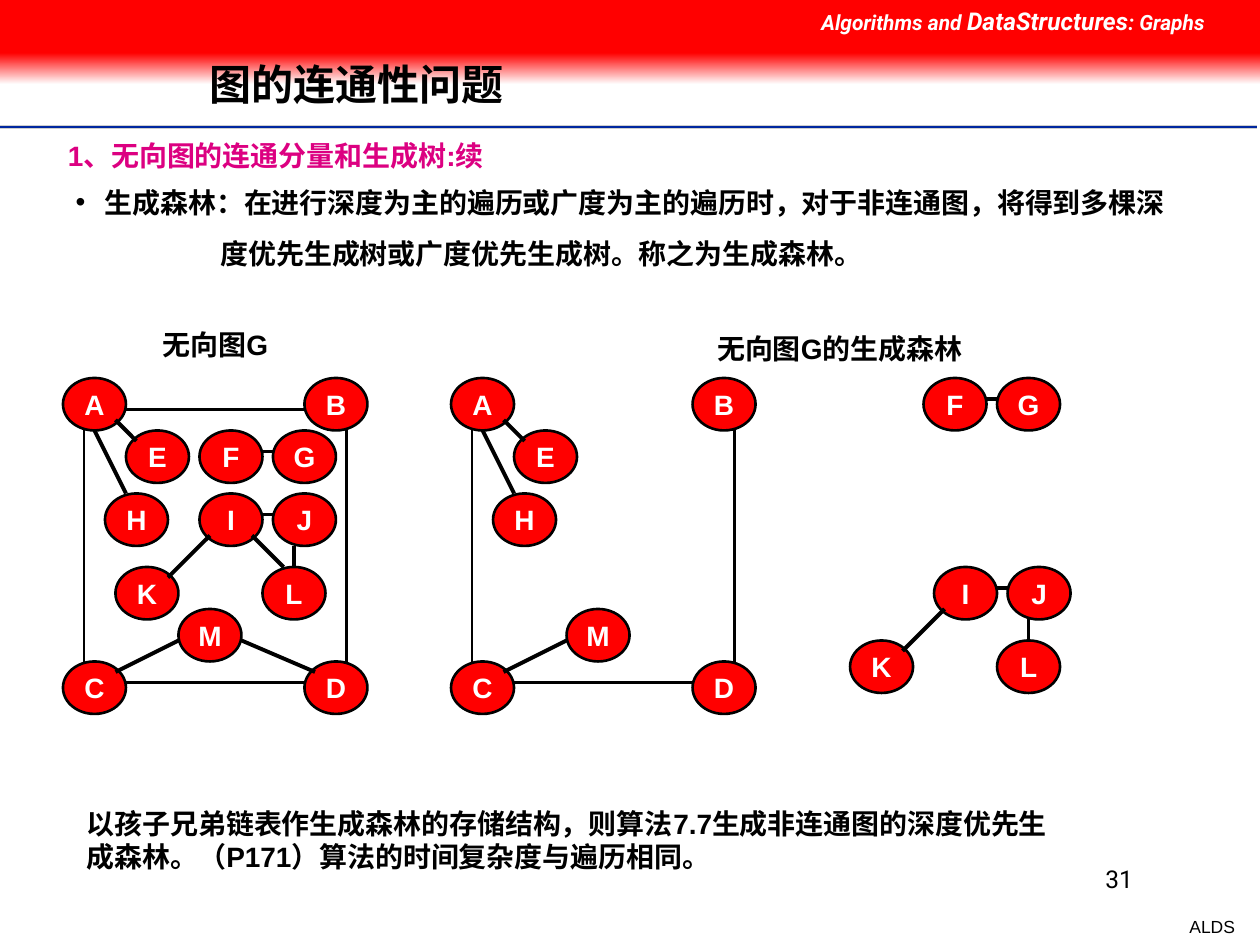
from dataclasses import dataclass

from lxml import etree
from pptx import Presentation, util as u
from pptx.dml.color import RGBColor
from pptx.enum import shapes, text
from pptx.oxml import ns

In = u.Inches
LEFT, MID, RIGHT = text.PP_ALIGN.LEFT, text.PP_ALIGN.CENTER, text.PP_ALIGN.RIGHT


@dataclass(frozen=True)
class Theme:
    """Colours, type faces and sizes of the slide."""
    red: str = "FF0000"
    ink: str = "000000"
    white: str = "FFFFFF"
    pink: str = "DC0081"
    blue: str = "00279F"
    grey: str = "CECECE"
    main: str = "Arial"
    head: str = "Roboto"
    title: int = 24
    body: int = 16
    page: int = 14
    note: int = 12
    foot: int = 10


T = Theme()
UNIT = 1 / 12
NODE = (6, 5)

GRAPH = {
    "A": (0, 0), "B": (23, 0), "C": (0, 27), "D": (23, 27), "E": (6, 5),
    "F": (13, 5), "G": (20, 5), "H": (4, 11), "I": (13, 11), "J": (20, 11),
    "K": (5, 18), "L": (19, 18), "M": (11, 22),
}
MOVED = {"F": (45, 0), "G": (52, 0), "I": (46, 18), "J": (53, 18),
         "K": (38, 25), "L": (52, 25)}
FOREST = GRAPH | MOVED

EDGES = {
    "AB": ((6, 3), (0, 3), 1.5), "AC": ((2, 5), (2, 0), 1.5),
    "BD": ((4, 5), (4, 0), 1.5), "CD": ((6, 2), (0, 2), 1.5),
    "JL": ((2, 5), (3, 0), 2.25), "MD": ((6, 3), (1, 1), 2.25),
    "CM": ((5, 1), (0, 3), 2.25), "AH": ((3, 5), (2, 0), 2.25),
    "AE": ((5, 4), (1, 1), 2.25), "KI": ((5, 1), (1, 4), 2.25),
    "FG": ((6, 2), (0, 2), 2.25), "IJ": ((6, 2), (0, 2), 2.25),
    "LI": ((2, 0), (5, 4), 2.25),
}
TREES = [e for e in EDGES if e not in ("AB", "MD", "LI")]


def rgb(code):
    """Turn a hex code into a colour."""
    return RGBColor.from_string(code)


def put(para, words, size, color=T.ink, face=T.main, bold=True, slant=False):
    """Add one run to a paragraph."""
    run = para.add_run()
    run.text = words
    font = run.font
    font.size, font.name = u.Pt(size), face
    font.bold, font.italic = bold, slant
    font.color.rgb = rgb(color)


def label(slide, box, runs, align=LEFT, wrap=True):
    """Place a text box and return its paragraph."""
    frame = slide.shapes.add_textbox(*map(In, box)).text_frame
    frame.word_wrap = wrap
    para = frame.paragraphs[0]
    para.alignment = align
    for words, style in runs:
        put(para, words, **style)
    return para


def line(slide, start, end, color, width):
    """Draw a straight line."""
    link = slide.shapes.add_connector(
        shapes.MSO_CONNECTOR.STRAIGHT, *map(In, (*start, *end)))
    link.line.color.rgb = rgb(color)
    link.line.width = u.Pt(width)
    etree.SubElement(link.element.spPr, ns.qn("a:effectLst"))


def band(slide, box):
    """Draw the red header with its fade and course name."""
    left, top, width, height = box
    solid = 0.42
    for y, tall in ((top + solid, height - solid), (top, solid)):
        rect = slide.shapes.add_shape(
            shapes.MSO_SHAPE.RECTANGLE, *map(In, (left, y, width, tall)))
        rect.shadow.inherit = False
        rect.line.fill.background()
        if y > top:
            rect.fill.gradient()
            rect.fill.gradient_angle = 270
            for stop, color in zip(rect.fill.gradient_stops, (T.red, T.white)):
                stop.color.rgb = rgb(color)
        else:
            rect.fill.solid()
            rect.fill.fore_color.rgb = rgb(T.red)
    style = dict(color=T.white, face=T.head, slant=True, size=T.note)
    label(slide, (left + 6.42, top, 3.58, 0.34), [
        ("Algorithms and ", style),
        ("DataStructures", style | {"size": T.page}),
        (": Graphs", style)])


def rule(slide, box):
    """Draw the layered rule under the title."""
    left, top, width, drop = box
    for y, color, thick in ((0, T.grey, 2), (0, T.blue, 1), (drop, T.white, 1)):
        line(slide, (left, top + y), (left + width, top + y), color, thick)


def seat(shape, box):
    """Move a placeholder to a box, in front of what is drawn."""
    shape.left, shape.top, shape.width, shape.height = map(In, box)
    shape.element.getparent().append(shape.element)
    frame = shape.text_frame
    frame.word_wrap = True
    frame.auto_size = text.MSO_AUTO_SIZE.NONE
    return frame


def title(slide, box):
    """Fill the title placeholder."""
    frame = seat(slide.shapes.title, box)
    frame.vertical_anchor = text.MSO_ANCHOR.MIDDLE
    para = frame.paragraphs[0]
    para.alignment, para.line_spacing = LEFT, 0.9
    put(para, "图的连通性问题", T.title)


def body(slide, box):
    """Fill the list placeholder."""
    frame = seat(slide.placeholders[1], box)
    items = (
        ("生成森林：在进行深度为主的遍历或广度为主的遍历时，对于非连通图，将得到多棵深",
         0, 0.23, -0.23, "•"),
        ("度优先生成树或广度优先生成树。称之为生成森林。", 2, 1.15, 0, None))
    for spot, (words, level, margin, indent, mark) in enumerate(items):
        para = frame.add_paragraph() if spot else frame.paragraphs[0]
        para.level = level
        props = para._p.get_or_add_pPr()
        props.set("marL", str(In(margin)))
        props.set("indent", str(In(indent)))
        bullet = etree.SubElement(props, ns.qn("a:buChar" if mark else "a:buNone"))
        if mark:
            bullet.set("char", mark)
        para.space_before = u.Pt(10 if spot else 0)
        put(para, words, T.body)


def graph(slide, box, nodes, edges):
    """Draw named nodes and the edges between them on a grid."""
    left, top = box

    def spot(name, shift):
        """Give the place of a point on a node."""
        x, y = nodes[name]
        return left + (x + shift[0]) * UNIT, top + (y + shift[1]) * UNIT

    for name in nodes:
        size = [side * UNIT for side in NODE]
        oval = slide.shapes.add_shape(
            shapes.MSO_SHAPE.OVAL, *map(In, (*spot(name, (0, 0)), *size)))
        oval.shadow.inherit = False
        oval.fill.solid()
        oval.fill.fore_color.rgb = rgb(T.red)
        oval.line.color.rgb = rgb(T.ink)
        oval.line.width = u.Pt(1.5)
        frame = oval.text_frame
        frame.word_wrap = False
        frame.vertical_anchor = text.MSO_ANCHOR.MIDDLE
        frame.paragraphs[0].alignment = MID
        put(frame.paragraphs[0], name, T.body, T.white)
    for pair in edges:
        start, end, width = EDGES[pair]
        line(slide, spot(pair[0], start), spot(pair[1], end), T.ink, width)


def main():
    """Build and save the slide."""
    deck = Presentation()
    deck.slide_width, deck.slide_height = In(10), In(7.5)
    slide = deck.slides.add_slide(deck.slide_layouts[1])
    plain = dict(size=T.body)
    rule(slide, (0, 1.01, 9.98, 0.02))
    label(slide, (9.34, 7.22, 0.56, 0.27),
          [("ALDS", dict(size=T.foot, bold=False))], RIGHT, False)
    label(slide, (7.17, 6.81, 1.92, 0.5),
          [("31", dict(size=T.page, face=T.head, bold=False))], RIGHT)
    band(slide, (0, 0, 10, 0.67))
    title(slide, (1.56, 0.32, 7.55, 0.74))
    topic = label(slide, (-0.06, 1.05, 4.16, 0.37),
                  [("1、无向图的连通分量和生成树:续", plain | {"color": T.pink})],
                  wrap=False)
    topic._p.get_or_add_pPr().set("marL", str(In(0.5)))
    body(slide, (0.5, 1.42, 9, 0.77))
    graph(slide, (0.5, 3), GRAPH, EDGES)
    graph(slide, (3.58, 3), FOREST, TREES)
    label(slide, (5.25, 2.58, 2.83, 0.37), [("无向图G的生成森林", plain)], MID)
    label(slide, (1, 2.55, 1.42, 0.37), [("无向图G", plain)], MID)
    label(slide, (0.59, 6.35, 8.03, 0.64), [(
        "以孩子兄弟链表作生成森林的存储结构，则算法7.7生成非连通图的深度优先生"
        "成森林。（P171）算法的时间复杂度与遍历相同。", plain)])
    deck.save("out.pptx")


if __name__ == "__main__":
    main()
